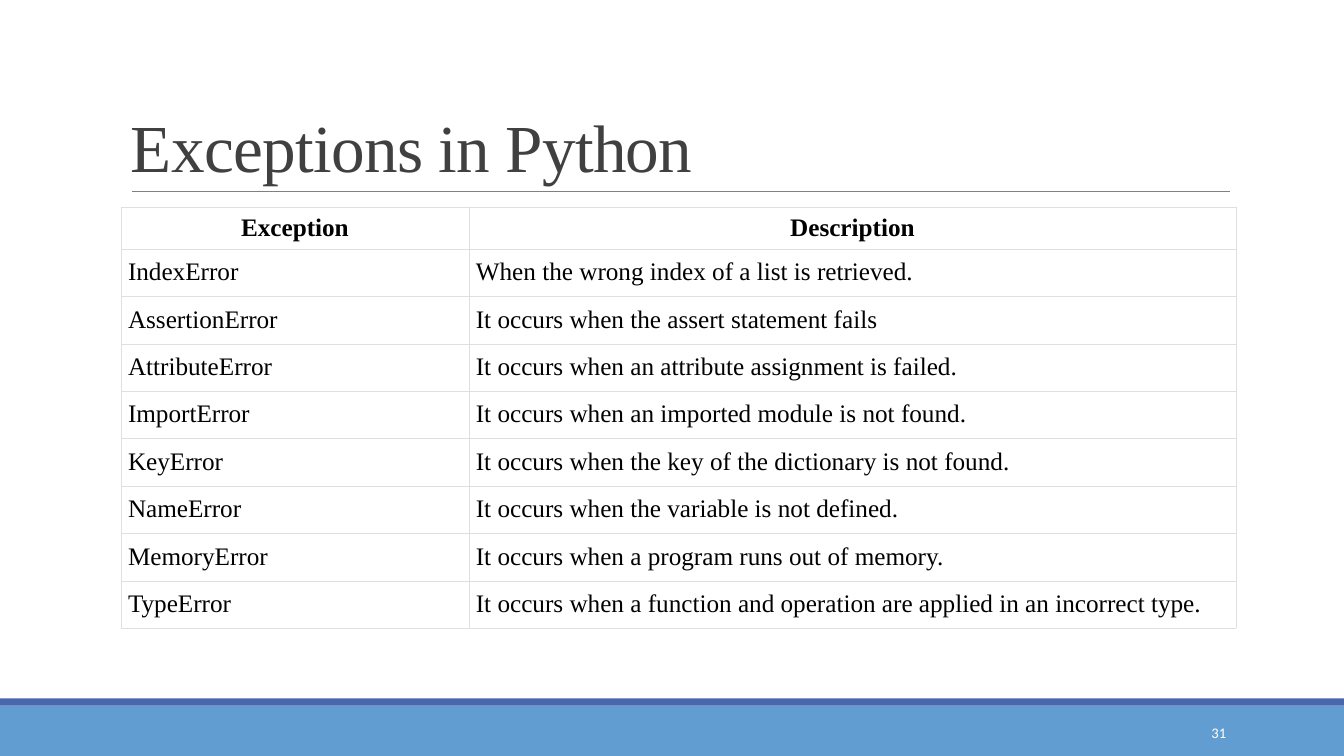
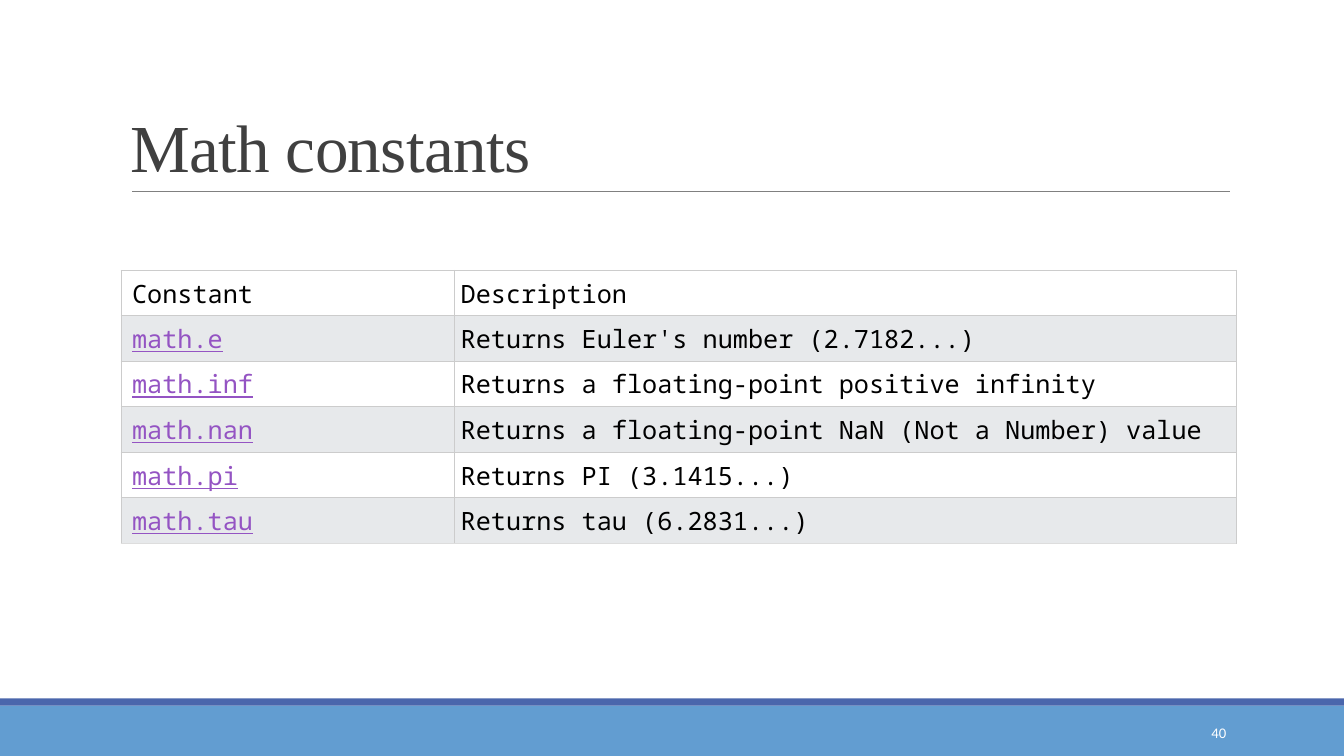
from dataclasses import dataclass

from lxml.etree import SubElement
from pptx import Presentation
from pptx.dml.color import RGBColor
from pptx.enum.shapes import MSO_CONNECTOR, MSO_SHAPE
from pptx.enum.text import MSO_ANCHOR, PP_ALIGN
from pptx.oxml.ns import qn
from pptx.util import Inches, Pt


@dataclass(frozen=True)
class Theme:
    footer: str = "629DD1"
    stripe: str = "4A66AC"
    rule: str = "808080"
    title: str = "404040"
    text: str = "000000"
    link: str = "9454C3"
    white: str = "FFFFFF"
    band: str = "E7E9EB"
    serif: str = "Times New Roman"
    mono: str = "Noto Sans Mono"
    sans: str = "Calibri"
    title_size: float = 48
    table_size: float = 18
    number_size: float = 10.5


@dataclass(frozen=True)
class TableStyle:
    font: str
    border: str
    bottom_border: str
    border_width: float
    fills: tuple
    header_margins: tuple
    body_margins: tuple
    anchor: MSO_ANCHOR
    bold_centred_header: bool = False
    linked_names: bool = False


THEME = Theme()
SLIDE_WIDTH, SLIDE_HEIGHT = 13.33, 7.5
TABLE_LEFT, TABLE_WIDTH = 1.2, 11.06

EXCEPTION_STYLE = TableStyle(
    font=THEME.serif, border="DFDFDF", bottom_border="DFDFDF", border_width=0.15,
    fills=(THEME.white,),
    header_margins=((0.04, 0.06, 0.04, 0.06), (0.07, 0.06, 0.07, 0.06)),
    body_margins=((0.07, 0.08, 0.07, 0.09), (0.07, 0.08, 0.07, 0.09)),
    anchor=MSO_ANCHOR.MIDDLE, bold_centred_header=True,
)
CONSTANT_MARGINS = ((0.11, 0.06, 0.06, 0.06), (0.06, 0.06, 0.06, 0.06))
CONSTANT_STYLE = TableStyle(
    font=THEME.mono, border="CCCCCC", bottom_border="DDDDDD", border_width=0.5,
    fills=(THEME.white, THEME.band),
    header_margins=CONSTANT_MARGINS, body_margins=CONSTANT_MARGINS,
    anchor=MSO_ANCHOR.TOP, linked_names=True,
)

EXCEPTIONS = [
    ("Exception", "Description"),
    ("IndexError", "When the wrong index of a list is retrieved."),
    ("AssertionError", "It occurs when the assert statement fails"),
    ("AttributeError", "It occurs when an attribute assignment is failed."),
    ("ImportError", "It occurs when an imported module is not found."),
    ("KeyError", "It occurs when the key of the dictionary is not found."),
    ("NameError", "It occurs when the variable is not defined."),
    ("MemoryError", "It occurs when a program runs out of memory."),
    ("TypeError", "It occurs when a function and operation are applied in an incorrect type."),
]
CONSTANTS = [
    ("Constant", "Description"),
    ("math.e", "Returns Euler's number (2.7182...)"),
    ("math.inf", "Returns a floating-point positive infinity"),
    ("math.nan", "Returns a floating-point NaN (Not a Number) value"),
    ("math.pi", "Returns PI (3.1415...)"),
    ("math.tau", "Returns tau (6.2831...)"),
]


def rgb(colour):
    return RGBColor.from_string(colour)


def inches(box):
    return [Inches(length) for length in box]


def write(frame, text, font, size, colour, align=PP_ALIGN.LEFT):
    frame.text = text
    paragraph = frame.paragraphs[0]
    paragraph.alignment = align
    run = paragraph.runs[0]
    run.font.name = font
    run.font.size = Pt(size)
    run.font.color.rgb = rgb(colour)
    return paragraph, run


def add_label(slide, box, anchor, *text_style):
    frame = slide.shapes.add_textbox(*inches(box)).text_frame
    frame.word_wrap = True
    frame.vertical_anchor = anchor
    return write(frame, *text_style)


def add_band(slide, box, colour):
    band = slide.shapes.add_shape(MSO_SHAPE.RECTANGLE, *inches(box))
    band.shadow.inherit = False
    band.fill.solid()
    band.fill.fore_color.rgb = rgb(colour)
    band.line.fill.background()


def add_title(slide, box, title):
    left, top, width, height = box
    baseline = top + height
    rule = slide.shapes.add_connector(
        MSO_CONNECTOR.STRAIGHT,
        *inches((left + 0.11, baseline, left + width, baseline)))
    rule.line.color.rgb = rgb(THEME.rule)
    rule.line.width = Pt(0.5)
    SubElement(rule._element.spPr, qn("a:effectLst"))
    paragraph, run = add_label(slide, box, MSO_ANCHOR.BOTTOM, title,
                               THEME.serif, THEME.title_size, THEME.title)
    paragraph.line_spacing = 0.85
    run.font._element.set("spc", "-50")


def add_footer(slide, box, number):
    left, top, width, height = box
    add_band(slide, box, THEME.footer)
    add_band(slide, (left, top - 0.07, width, 0.07), THEME.stripe)
    add_label(slide, (left + width - 2.5, top + 0.07, 1.43, 0.4), MSO_ANCHOR.MIDDLE,
              str(number), THEME.sans, THEME.number_size, THEME.white, PP_ALIGN.RIGHT)


def set_borders(cell, style, last_row):
    properties = cell._tc.get_or_add_tcPr()
    bottom = style.bottom_border if last_row else style.border
    sides = {"L": style.border, "R": style.border, "T": style.border, "B": bottom}
    for side, colour in sides.items():
        line = SubElement(properties, qn(f"a:ln{side}"), w=str(Pt(style.border_width)))
        fill = SubElement(line, qn("a:solidFill"))
        SubElement(fill, qn("a:srgbClr"), val=colour)


def format_cell(cell, text, style, row, column, last_row):
    is_header = row == 0
    is_link = style.linked_names and column == 0 and not is_header
    emphasised = style.bold_centred_header and is_header
    set_borders(cell, style, last_row)
    cell.fill.solid()
    cell.fill.fore_color.rgb = rgb(style.fills[row % len(style.fills)])
    margins = style.header_margins if is_header else style.body_margins
    (cell.margin_left, cell.margin_top,
     cell.margin_right, cell.margin_bottom) = inches(margins[column])
    cell.vertical_anchor = style.anchor
    _, run = write(cell.text_frame, text, style.font, THEME.table_size,
                   THEME.link if is_link else THEME.text,
                   PP_ALIGN.CENTER if emphasised else PP_ALIGN.LEFT)
    run.font.bold = emphasised
    run.font.underline = is_link


def add_reference_table(slide, box, name_width, header_height, entries, style):
    left, top, width, height = box
    table = slide.shapes.add_table(len(entries), 2, *inches(box)).table
    table.first_row = False
    table.horz_banding = False
    table.columns[0].width = Inches(name_width)
    table.columns[1].width = Inches(width - name_width)
    body_height = (height - header_height) / (len(entries) - 1)
    for row, entry in enumerate(entries):
        table.rows[row].height = Inches(body_height if row else header_height)
        for column, text in enumerate(entry):
            format_cell(table.cell(row, column), text, style, row, column,
                        row == len(entries) - 1)


def add_reference_slide(deck, title, number, top, height, name_width,
                        header_height, entries, style):
    slide = deck.slides.add_slide(deck.slide_layouts[6])
    add_footer(slide, (0, 7, SLIDE_WIDTH, SLIDE_HEIGHT - 7), number)
    add_title(slide, (TABLE_LEFT, 0.31, 11, 1.59), title)
    add_reference_table(slide, (TABLE_LEFT, top, TABLE_WIDTH, height),
                        name_width, header_height, entries, style)


def main():
    deck = Presentation()
    deck.slide_width = Inches(SLIDE_WIDTH)
    deck.slide_height = Inches(SLIDE_HEIGHT)
    add_reference_slide(deck, "Exceptions in Python", 31, 2.05, 4.18, 3.45, 0.42,
                        EXCEPTIONS, EXCEPTION_STYLE)
    add_reference_slide(deck, "Math constants", 40, 2.68, 2.71, 3.31, 0.45,
                        CONSTANTS, CONSTANT_STYLE)
    deck.save("out.pptx")


if __name__ == "__main__":
    main()
